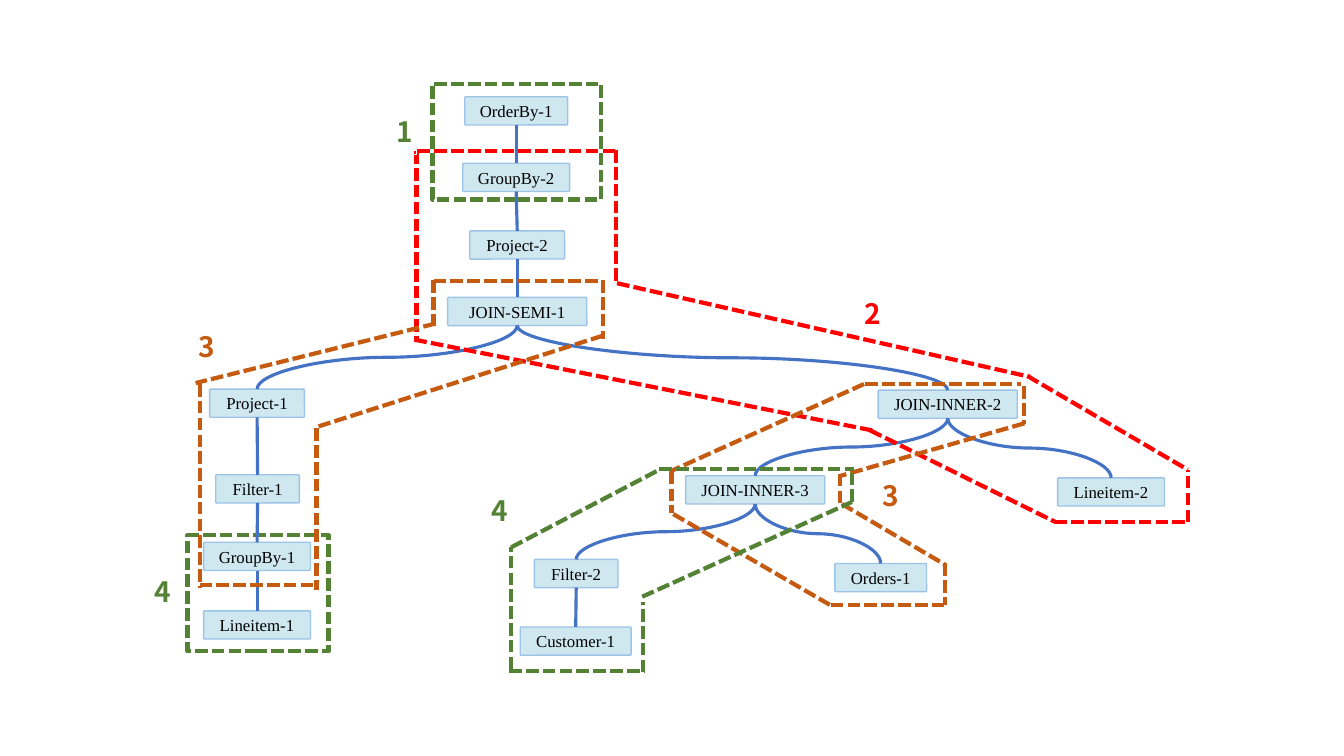
from typing import NamedTuple

from pptx import Presentation
from pptx.dml.color import RGBColor
from pptx.enum.dml import MSO_LINE_DASH_STYLE as Dash
from pptx.enum.shapes import MSO_CONNECTOR as Link, MSO_SHAPE as Preset
from pptx.enum.text import MSO_ANCHOR as Anchor, MSO_AUTO_SIZE as AutoSize, PP_ALIGN as Align
from pptx.oxml.ns import qn
from pptx.util import Emu, Pt

PX = 9144  # 100 px to the inch
SLIDE_SIZE = (1333, 750)
NODE_HEIGHT = 28
LABEL_SIZE = (30, 44)
BOTTOM, TOP = 2, 0  # connection sites

WHITE = RGBColor(0xFF, 0xFF, 0xFF)
BLACK = RGBColor(0x00, 0x00, 0x00)
NODE_FILL = RGBColor(0xCF, 0xE8, 0xEF)
NODE_LINE = RGBColor(0x9D, 0xC3, 0xE6)
EDGE_BLUE = RGBColor(0x44, 0x72, 0xC4)
GREEN = RGBColor(0x54, 0x82, 0x35)
RED = RGBColor(0xFF, 0x00, 0x00)
ORANGE = RGBColor(0xC5, 0x5A, 0x11)


class Node(NamedTuple):
    name: str
    left: int
    top: int
    width: int


class Edge(NamedTuple):
    parent: str
    child: str
    curved: bool = False


class Label(NamedTuple):
    text: str
    left: int
    top: int
    color: RGBColor
    framed: bool = True


class Region(NamedTuple):
    color: RGBColor
    sides: list[tuple[int, int, int, int]]  # x1, y1, x2, y2


GREEN_BOXES = [(186, 531, 140, 115), (429, 83, 167, 115)]

NODES = [
    Node("OrderBy-1", 461, 96, 102),
    Node("GroupBy-2", 459, 162, 106),
    Node("Project-2", 466, 229, 94),
    Node("JOIN-SEMI-1", 444, 295, 138),
    Node("Project-1", 208, 386, 94),
    Node("Filter-1", 214, 471, 83),
    Node("GroupBy-1", 202, 538, 106),
    Node("Lineitem-1", 202, 606, 106),
    Node("JOIN-INNER-2", 871, 387, 138),
    Node("Lineitem-2", 1049, 474, 106),
    Node("JOIN-INNER-3", 680, 472, 138),
    Node("Orders-1", 828, 559, 91),
    Node("Filter-2", 530, 555, 83),
    Node("Customer-1", 516, 622, 110),
]

EDGES = [
    Edge("OrderBy-1", "GroupBy-2"),
    Edge("GroupBy-2", "Project-2"),
    Edge("Project-2", "JOIN-SEMI-1"),
    Edge("JOIN-SEMI-1", "Project-1", curved=True),
    Edge("JOIN-SEMI-1", "JOIN-INNER-2", curved=True),
    Edge("Project-1", "Filter-1"),
    Edge("Filter-1", "GroupBy-1"),
    Edge("GroupBy-1", "Lineitem-1"),
    Edge("JOIN-INNER-2", "JOIN-INNER-3", curved=True),
    Edge("JOIN-INNER-2", "Lineitem-2", curved=True),
    Edge("JOIN-INNER-3", "Filter-2", curved=True),
    Edge("JOIN-INNER-3", "Orders-1", curved=True),
    Edge("Filter-2", "Customer-1"),
]

REGIONS = [
    Region(RED, [
        (414, 150, 610, 150), (413, 150, 413, 337), (411, 337, 865, 427),
        (863, 427, 1047, 518), (1046, 518, 1179, 518), (1178, 518, 1178, 466),
        (1019, 373, 1178, 466), (612, 281, 1022, 374), (611, 149, 611, 280),
    ]),
    Region(ORANGE, [
        (430, 278, 430, 326), (430, 279, 596, 279), (432, 321, 194, 380),
        (598, 278, 598, 336), (198, 381, 198, 583), (198, 580, 315, 580),
        (314, 425, 314, 585), (598, 333, 316, 423),
    ]),
    Region(ORANGE, [
        (858, 381, 1013, 381), (857, 381, 664, 468), (666, 468, 666, 509),
        (823, 600, 666, 509), (824, 600, 939, 600), (937, 559, 937, 600),
        (835, 500, 937, 560), (1016, 420, 834, 472), (1016, 383, 1016, 421),
        (833, 470, 833, 502),
    ]),
    Region(GREEN, [
        (507, 664, 507, 543), (507, 543, 654, 466), (654, 465, 847, 465),
        (845, 498, 845, 465), (637, 592, 845, 498), (638, 667, 638, 597),
        (505, 666, 639, 666),
    ]),
]

LABELS = [
    Label("4", 143, 565, GREEN),
    Label("2", 848, 289, RED, framed=False),
    Label("3", 187, 322, ORANGE),
    Label("1", 383, 109, GREEN),
    Label("3", 865, 470, ORANGE),
    Label("4", 478, 485, GREEN),
]


def px(*lengths: int) -> list[Emu]:
    return [Emu(length * PX) for length in lengths]


def write_text(shape, text: str, *, font: str, size: int, color: RGBColor,
               bold: bool = False, align: Align = Align.LEFT) -> None:
    paragraph = shape.text_frame.paragraphs[0]
    paragraph.alignment = align
    run = paragraph.add_run()
    run.text = text
    run.font.name, run.font.size, run.font.bold = font, Pt(size), bold
    run.font.color.rgb = color


def format_line(shape, color: RGBColor, width: float, dashed: bool = False) -> None:
    shape.line.color.rgb = color
    shape.line.width = Pt(width)
    if dashed:
        shape.line.dash_style = Dash.SQUARE_DOT


def draw_box(slide, preset: Preset, box: tuple[int, int, int, int], fill: RGBColor):
    shape = slide.shapes.add_shape(preset, *px(*box))
    shape.shadow.inherit = False
    shape.fill.solid()
    shape.fill.fore_color.rgb = fill
    return shape


def draw_node(slide, node: Node):
    box = (node.left, node.top, node.width, NODE_HEIGHT)
    shape = draw_box(slide, Preset.ROUNDED_RECTANGLE, box, NODE_FILL)
    shape.adjustments[0] = 0.04
    format_line(shape, NODE_LINE, 1)
    shape.text_frame.vertical_anchor = Anchor.MIDDLE
    write_text(shape, node.name, font="Times New Roman", size=12, color=BLACK, align=Align.CENTER)
    return shape


def draw_connector(slide, kind: Link, ends: tuple[int, int, int, int]):
    connector = slide.shapes.add_connector(kind, *px(*ends))
    properties = connector.element.spPr
    properties.append(properties.makeelement(qn("a:effectLst"), {}))
    return connector


def turn_downward(connector) -> None:
    """Make a curve leave and arrive vertically by turning its frame a quarter."""
    across, down = connector.width, connector.height
    goes_right = connector.end_x > connector.begin_x
    connector.left += (across - down) // 2
    connector.top += (down - across) // 2
    connector.width, connector.height = down, across
    frame = connector.element.spPr.find(qn("a:xfrm"))
    frame.flipH = goes_right
    frame.rot = 270 if goes_right else 90


def draw_edge(slide, edge: Edge, shapes: dict) -> None:
    connector = draw_connector(slide, Link.CURVE if edge.curved else Link.STRAIGHT, (0, 0, 0, 0))
    connector.begin_connect(shapes[edge.parent], BOTTOM)
    connector.end_connect(shapes[edge.child], TOP)
    format_line(connector, EDGE_BLUE, 2.25)
    if edge.curved:
        turn_downward(connector)


def draw_label(slide, label: Label) -> None:
    shape = slide.shapes.add_textbox(*px(label.left, label.top, *LABEL_SIZE))
    shape.text_frame.word_wrap = False
    shape.text_frame.auto_size = AutoSize.SHAPE_TO_FIT_TEXT
    if label.framed:
        format_line(shape, WHITE, 0.75)
    write_text(shape, label.text, font="Noto Sans CJK SC", size=20, color=label.color, bold=True)


def main() -> None:
    presentation = Presentation()
    presentation.slide_width, presentation.slide_height = px(*SLIDE_SIZE)
    slide = presentation.slides.add_slide(presentation.slide_layouts[6])

    # Green boxes behind the plan tree
    for box in GREEN_BOXES:
        format_line(draw_box(slide, Preset.RECTANGLE, box, WHITE), GREEN, 3, dashed=True)

    # Plan tree
    shapes = {node.name: draw_node(slide, node) for node in NODES}
    for edge in EDGES:
        draw_edge(slide, edge, shapes)

    # Dashed regions and their numbers
    for region in REGIONS:
        for side in region.sides:
            format_line(draw_connector(slide, Link.STRAIGHT, side), region.color, 3, dashed=True)
    for label in LABELS:
        draw_label(slide, label)

    presentation.save("out.pptx")


if __name__ == "__main__":
    main()
